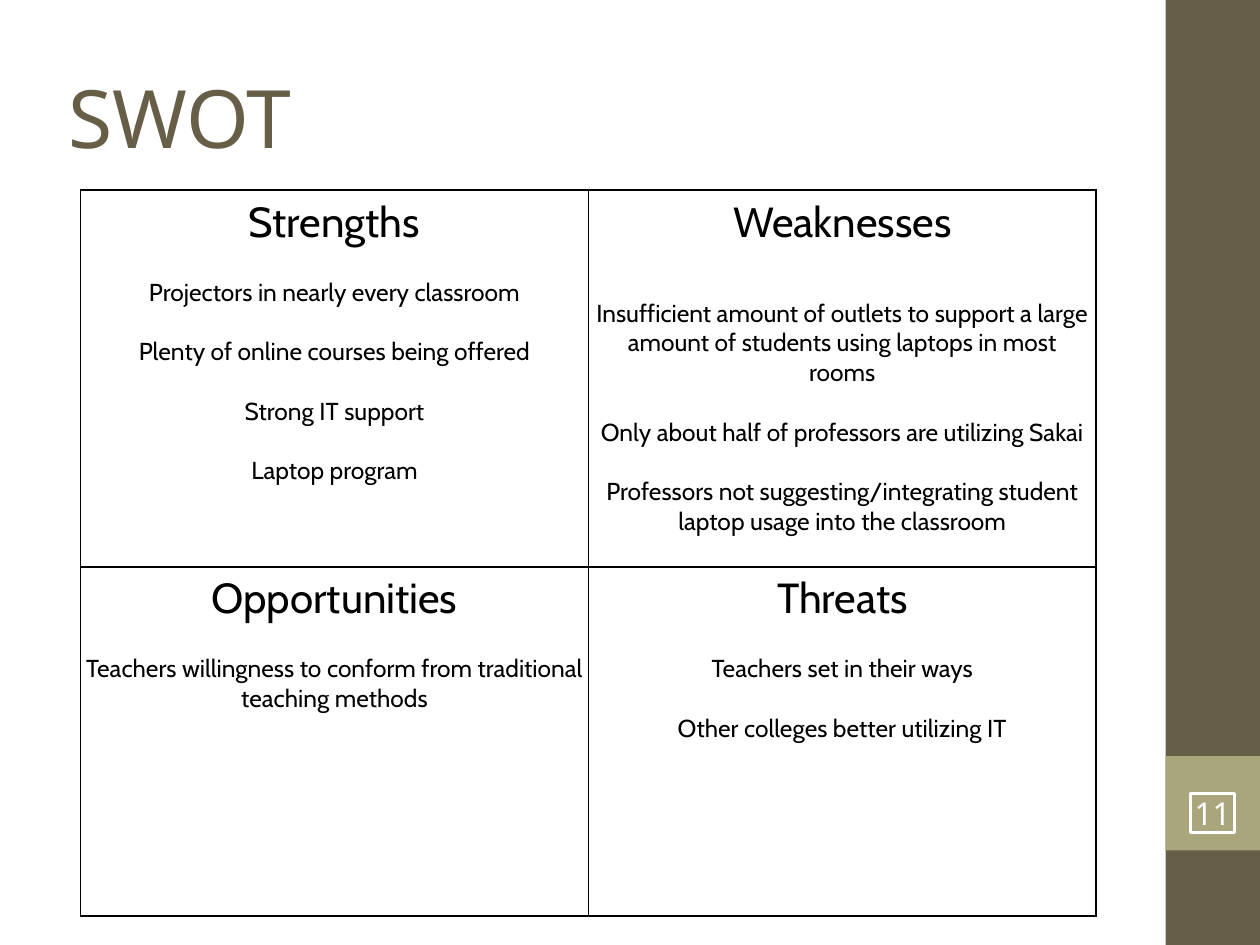
from dataclasses import dataclass

from lxml.etree import SubElement
from pptx import Presentation
from pptx.dml.color import RGBColor
from pptx.enum.shapes import MSO_SHAPE
from pptx.enum.text import MSO_ANCHOR, PP_ALIGN
from pptx.oxml.ns import qn
from pptx.util import Pt

PX = 9144  # EMU in one px, 100 px to the inch
WHITE = RGBColor(0xFF, 0xFF, 0xFF)
BLACK = RGBColor(0x00, 0x00, 0x00)
BROWN = RGBColor(0x67, 0x5E, 0x47)
SAGE = RGBColor(0xA9, 0xA5, 0x7C)
HEAD, BODY = "Noto Sans", "Cabin"
EDGE = 12192  # 0.96 pt cell border, in EMU
COLS = (403, 403)
ROWS = (299, 277)


@dataclass
class Box:
    left: int
    top: int
    width: int
    height: int

    def emu(self) -> tuple:
        return tuple(n * PX for n in (self.left, self.top, self.width, self.height))


@dataclass
class Quad:
    row: int
    col: int
    title: str
    points: tuple
    lead: int = 17  # gap under the title, in points


QUADS = (
    Quad(0, 0, "Strengths", (
        "Projectors in nearly every classroom",
        "Plenty of online courses being offered",
        "Strong IT support",
        "Laptop program",
    )),
    Quad(0, 1, "Weaknesses", (
        "Insufficient amount of outlets to support a large amount of "
        "students using laptops in most rooms",
        "Only about half of professors are utilizing Sakai",
        "Professors not suggesting/integrating student laptop usage "
        "into the classroom",
    ), lead=29),
    Quad(1, 0, "Opportunities", (
        "Teachers willingness to conform from traditional teaching methods",
    )),
    Quad(1, 1, "Threats", (
        "Teachers set in their ways",
        "Other colleges better utilizing IT",
    )),
)


def style(para, size: int, face: str, color: RGBColor) -> None:
    for run in para.runs:
        run.font.size = Pt(size)
        run.font.name = face
        run.font.color.rgb = color


def add_rect(slide, box: Box, fill: RGBColor | None = None):
    """Add a rectangle without outline, filled only if a colour is given."""
    rect = slide.shapes.add_shape(MSO_SHAPE.RECTANGLE, *box.emu())
    rect.shadow.inherit = False
    rect.line.fill.background()
    if fill is None:
        rect.fill.background()
    else:
        rect.fill.solid()
        rect.fill.fore_color.rgb = fill
    return rect


def add_page(slide, box: Box, text: str) -> None:
    rect = add_rect(slide, box)
    rect.line.color.rgb = WHITE
    rect.line.width = Pt(1.5)
    frame = rect.text_frame
    frame.text = text
    frame.word_wrap = False
    frame.vertical_anchor = MSO_ANCHOR.MIDDLE
    para = frame.paragraphs[0]
    para.alignment = PP_ALIGN.CENTER
    style(para, 18, HEAD, WHITE)


def add_title(slide, box: Box, text: str) -> None:
    frame = slide.shapes.add_textbox(*box.emu()).text_frame
    frame.text = text
    frame.word_wrap = True
    frame.vertical_anchor = MSO_ANCHOR.MIDDLE
    frame.margin_left = frame.margin_right = 4 * PX
    frame.margin_top = frame.margin_bottom = 4 * PX
    style(frame.paragraphs[0], 46, HEAD, BROWN)


def add_edges(cell) -> None:
    """Draw a solid border on all four sides of a cell."""
    props = cell._tc.get_or_add_tcPr()
    for spot, side in enumerate(("lnL", "lnR", "lnT", "lnB")):
        line = SubElement(props, qn(f"a:{side}"), w=str(EDGE))
        fill = SubElement(line, qn("a:solidFill"))
        SubElement(fill, qn("a:srgbClr"), val=str(BLACK))
        props.insert(spot, line)


def fill_cell(cell, quad: Quad) -> None:
    cell.fill.background()
    add_edges(cell)
    cell.margin_left = cell.margin_right = 4 * PX
    cell.margin_top = cell.margin_bottom = 5 * PX
    frame = cell.text_frame
    frame.text = "\n".join((quad.title, *quad.points))
    for num, para in enumerate(frame.paragraphs):
        para.alignment = PP_ALIGN.CENTER
        if num:
            para.space_before = Pt(quad.lead if num == 1 else 17)
        style(para, 14 if num else 24, BODY, BLACK)


def add_grid(slide, left: int, top: int) -> None:
    box = Box(left, top, sum(COLS), sum(ROWS))
    table = slide.shapes.add_table(len(ROWS), len(COLS), *box.emu()).table
    table.first_row = table.horz_banding = False
    for col, width in zip(table.columns, COLS):
        col.width = width * PX
    for row, height in zip(table.rows, ROWS):
        row.height = height * PX
    for quad in QUADS:
        fill_cell(table.cell(quad.row, quad.col), quad)


def main() -> None:
    deck = Presentation()
    deck.slide_width, deck.slide_height = 1000 * PX, 750 * PX
    slide = deck.slides.add_slide(deck.slide_layouts[6])
    add_rect(slide, Box(925, 0, 75, 750), BROWN)
    add_rect(slide, Box(925, 600, 75, 75), SAGE)
    add_page(slide, Box(945, 630, 35, 31), "11")
    add_title(slide, Box(50, 10, 833, 165), "SWOT")
    add_grid(slide, 64, 151)
    deck.save("out.pptx")


if __name__ == "__main__":
    main()
